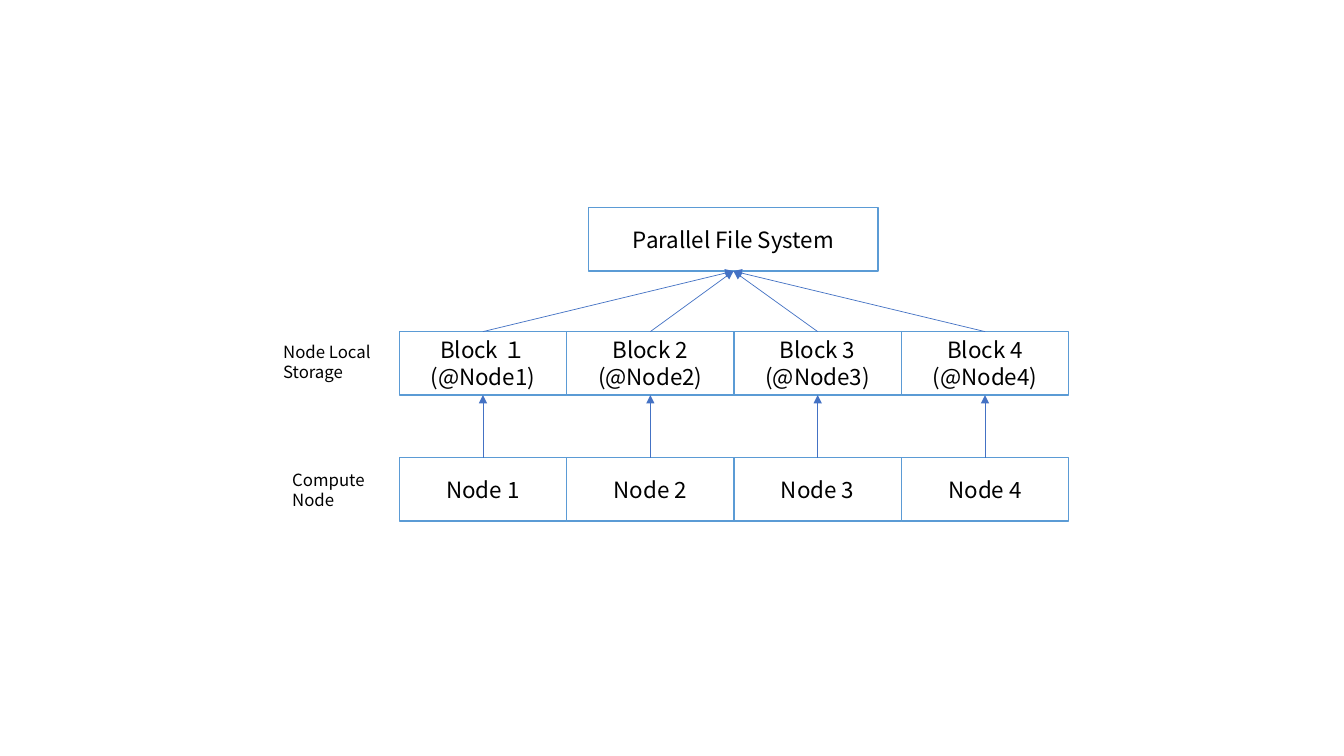
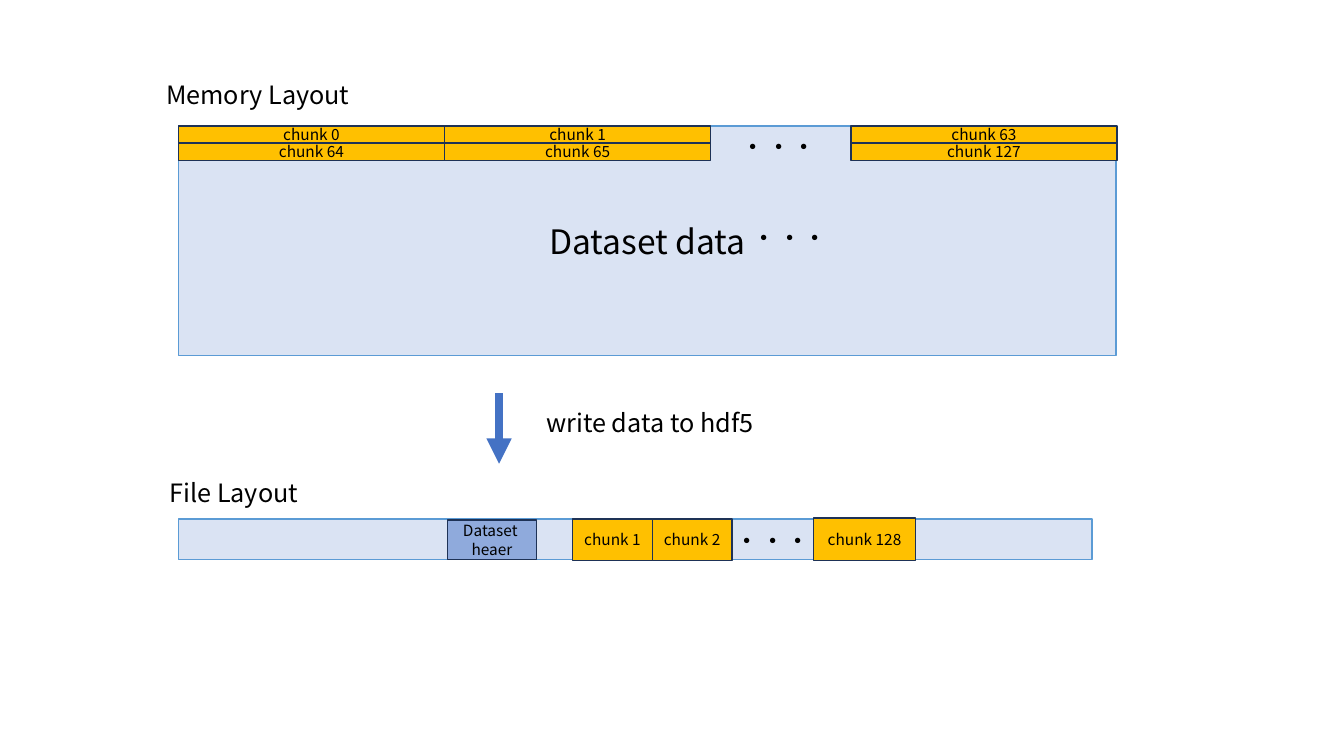
import pptx
import pptx.util
import pptx.oxml.ns
import pptx.dml.color
import pptx.enum.text
import pptx.enum.shapes
from dataclasses import dataclass
from lxml import etree

PX = 9144
TOP, BOTTOM = 0, 2
DOTS = "・・・"
ALIGN = pptx.enum.text.PP_ALIGN
ANCHOR = pptx.enum.text.MSO_ANCHOR
SHAPE = pptx.enum.shapes.MSO_SHAPE
LINK = pptx.enum.shapes.MSO_CONNECTOR


@dataclass(frozen=True)
class Theme:
    font: str = "Noto Sans CJK JP"
    ink: str = "000000"
    white: str = "FFFFFF"
    pale: str = "DAE3F3"
    blue: str = "8FAADC"
    gold: str = "FFC000"
    edge: str = "5B9BD5"
    navy: str = "1E3256"
    arrow: str = "4472C4"
    tiny: int = 11
    note: int = 12
    body: int = 16
    head: int = 18
    big: int = 24


T = Theme()


def rgb(code):
    return pptx.dml.color.RGBColor.from_string(code)


def px(*values):
    return [value * PX for value in values]


def apply(item, **values):
    for name, value in values.items():
        setattr(item, name, value)


def add_tag(parent, tag, **values):
    return etree.SubElement(parent, pptx.oxml.ns.qn(tag), values)


def put_text(shape, text, size, align, anchor):
    frame = shape.text_frame
    frame.text = text
    apply(frame, word_wrap=True, vertical_anchor=anchor)
    for para in frame.paragraphs:
        para.alignment = align
        for run in para.runs:
            apply(run.font, size=pptx.util.Pt(size), name=T.font)
            run.font.color.rgb = rgb(T.ink)
            add_tag(run.font._element, "a:ea", typeface=T.font)


def add_box(slide, area, text="", size=T.body, fill=T.white, edge=T.edge):
    box = slide.shapes.add_shape(SHAPE.RECTANGLE, *px(*area))
    box.shadow.inherit = False
    box.fill.solid()
    box.fill.fore_color.rgb = rgb(fill)
    box.line.color.rgb = rgb(edge)
    box.line.width = pptx.util.Pt(1)
    if text:
        put_text(box, text, size, ALIGN.CENTER, ANCHOR.MIDDLE)
    return box


def add_chunk(slide, area, text, fill=T.gold):
    return add_box(slide, area, text, T.tiny, fill, T.navy)


def add_label(slide, area, text, size=T.head, align=ALIGN.LEFT):
    label = slide.shapes.add_textbox(*px(*area))
    put_text(label, text, size, align, ANCHOR.TOP)


def add_arrow(slide, ends=(0, 0, 0, 0), width=0.5):
    arrow = slide.shapes.add_connector(LINK.STRAIGHT, *px(*ends))
    arrow.line.color.rgb = rgb(T.arrow)
    arrow.line.width = pptx.util.Pt(width)
    add_tag(arrow.line._get_or_add_ln(), "a:tailEnd", type="triangle")
    add_tag(arrow._element.spPr, "a:effectLst")
    return arrow


def join(slide, low, high):
    arrow = add_arrow(slide)
    arrow.begin_connect(low, TOP)
    arrow.end_connect(high, BOTTOM)


def add_row(slide, top, names):
    return [add_box(slide, (396 + 166 * i, top, 166, 63), name)
            for i, name in enumerate(names)]


def draw_nodes(slide):
    digits = "１234"
    blocks = add_row(slide, 329, [f"Block {digit}\n(@Node{i})"
                                  for i, digit in enumerate(digits, 1)])
    nodes = add_row(slide, 454, [f"Node {i}" for i in range(1, 5)])
    system = add_box(slide, (584, 206, 287, 63), "Parallel File System")
    add_label(slide, (271, 334, 125, 50), "Node Local Storage", T.note)
    add_label(slide, (280, 461, 117, 50), "Compute\nNode", T.note)
    for block in blocks:
        join(slide, block, system)
    for node, block in zip(nodes, blocks):
        join(slide, node, block)


def draw_memory(slide):
    add_label(slide, (155, 74, 232, 40), "Memory Layout")
    add_box(slide, (177, 125, 930, 228), "Dataset data", T.big, T.pale)
    for left, column in ((177, 0), (441, 1), (844, 63)):
        for row in range(2):
            add_chunk(slide, (left, 125 + 17 * row, 264, 17),
                      f"chunk {column + 64 * row}")
    for left, top in ((725, 125), (736, 216)):
        add_label(slide, (left, top, 101, 40), DOTS)


def draw_file(slide):
    add_label(slide, (155, 469, 154, 40), "File Layout", align=ALIGN.CENTER)
    add_box(slide, (177, 515, 906, 40), fill=T.pale)
    add_chunk(slide, (444, 516, 88, 39), "Dataset \vheaer", T.blue)
    for i in range(2):
        add_chunk(slide, (568 + 79 * i, 515, 79, 41), f"chunk {i + 1}")
    add_label(slide, (719, 516, 101, 40), DOTS)
    add_chunk(slide, (807, 514, 101, 42), "chunk 128")


def draw_layout(slide):
    draw_memory(slide)
    add_arrow(slide, (495, 390, 495, 460), 6)
    add_label(slide, (532, 399, 232, 40), "write data to hdf5")
    draw_file(slide)


def main():
    deck = pptx.Presentation()
    apply(deck, slide_width=1333 * PX, slide_height=750 * PX)
    for draw in (draw_nodes, draw_layout):
        draw(deck.slides.add_slide(deck.slide_layouts[6]))
    deck.save("out.pptx")


if __name__ == "__main__":
    main()
